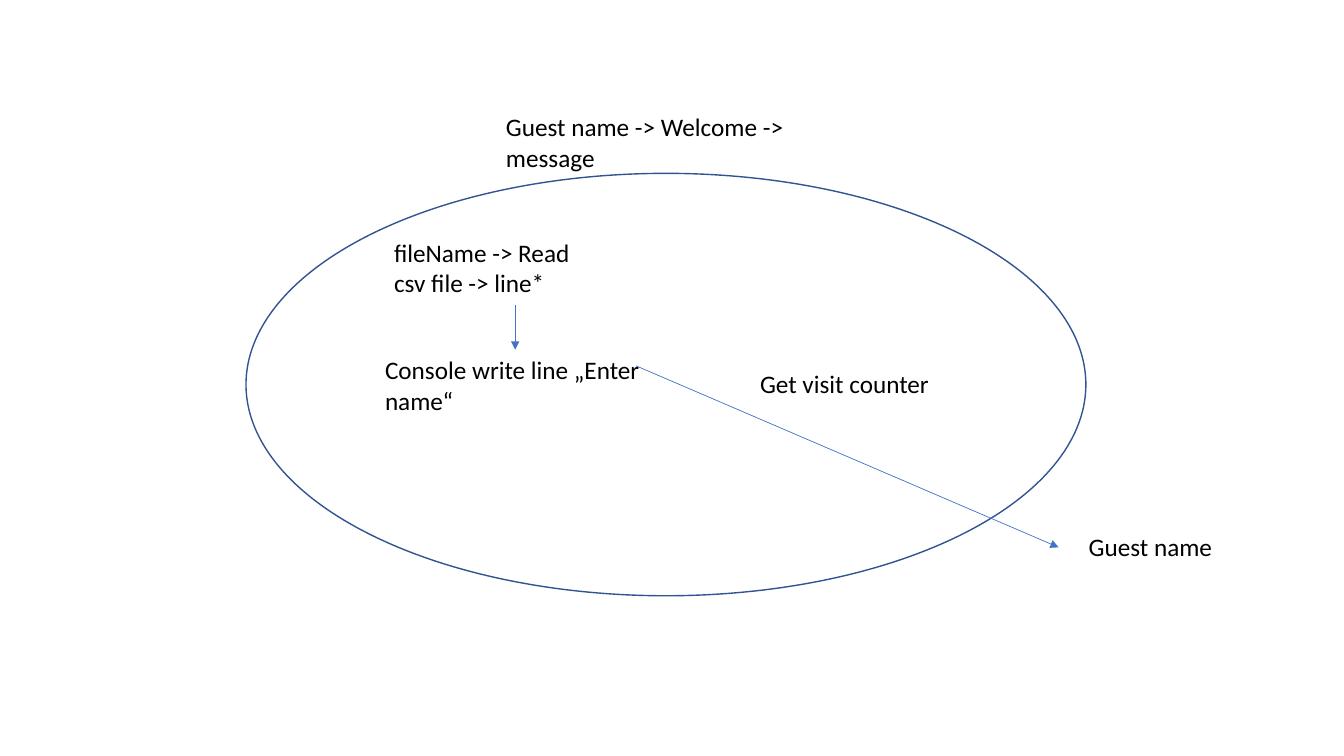
from dataclasses import dataclass

from lxml.etree import SubElement
from pptx import Presentation
from pptx.dml.color import RGBColor
from pptx.enum.shapes import MSO_CONNECTOR, MSO_SHAPE
from pptx.enum.text import MSO_AUTO_SIZE
from pptx.oxml.ns import qn
from pptx.shapes.autoshape import Shape
from pptx.shapes.connector import Connector
from pptx.slide import Slide
from pptx.util import Emu, Pt

PX = 9144  # EMU per px, 100 px to the inch
BLACK = RGBColor(0x00, 0x00, 0x00)
BLUE = RGBColor(0x44, 0x72, 0xC4)
DARK_BLUE = RGBColor(0x32, 0x54, 0x91)
FONT = "Calibri"
TOP = 0  # connection site


@dataclass(frozen=True)
class Label:
    text: str
    x: int
    y: int
    w: int
    h: int


@dataclass(frozen=True)
class Arrow:
    x1: int
    y1: int
    x2: int
    y2: int


FLOW_TITLE = Label("Guest name -> Welcome -> message", 492, 106, 349, 71)
READ_FILE = Label("fileName -> Read csv file -> line*", 381, 230, 223, 71)
ENTER_NAME = Label("Console write line „Enter name“", 372, 347, 278, 71)
VISIT_COUNTER = Label("Get visit counter", 744, 361, 193, 40)
GUEST_NAME = Label("Guest name", 1070, 522, 180, 40)

READ_TO_ENTER = Arrow(511, 303, 511, 347)
ENTER_TO_GUEST = Arrow(631, 363, 1050, 543)


def px(n: int) -> Emu:
    return Emu(n * PX)


def add_label(s: Slide, label: Label) -> Shape:
    sp = s.shapes.add_textbox(px(label.x), px(label.y), px(label.w), px(label.h))
    tf = sp.text_frame
    tf.word_wrap = True
    tf.auto_size = MSO_AUTO_SIZE.SHAPE_TO_FIT_TEXT
    p = tf.paragraphs[0]
    p.text = label.text
    p.font.name = FONT
    p.font.size = Pt(18)
    p.font.color.rgb = BLACK
    return sp


def add_boundary(s: Slide, x: int, y: int, w: int, h: int) -> Shape:
    sp = s.shapes.add_shape(MSO_SHAPE.OVAL, px(x), px(y), px(w), px(h))
    sp.shadow.inherit = False
    sp.fill.background()
    sp.line.color.rgb = DARK_BLUE
    sp.line.width = Pt(1)
    return sp


def add_arrow(s: Slide, arrow: Arrow) -> Connector:
    cxn = s.shapes.add_connector(
        MSO_CONNECTOR.STRAIGHT,
        px(arrow.x1), px(arrow.y1), px(arrow.x2), px(arrow.y2),
    )
    cxn.line.color.rgb = BLUE
    cxn.line.width = Pt(0.5)
    SubElement(cxn.line._get_or_add_ln(), qn("a:tailEnd"), type="triangle")
    SubElement(cxn._element.spPr, qn("a:effectLst"))
    return cxn


def main() -> None:
    prs = Presentation()
    prs.slide_width, prs.slide_height = px(1333), px(750)
    s = prs.slides.add_slide(prs.slide_layouts[6])

    # Overall flow and its boundary
    add_label(s, FLOW_TITLE)
    add_boundary(s, 244, 172, 833, 419)

    # Steps inside the boundary
    add_label(s, READ_FILE)
    enter_name = add_label(s, ENTER_NAME)
    add_arrow(s, READ_TO_ENTER).end_connect(enter_name, TOP)
    add_label(s, VISIT_COUNTER)

    # Output outside the boundary
    add_arrow(s, ENTER_TO_GUEST)
    add_label(s, GUEST_NAME)

    prs.save("out.pptx")


if __name__ == "__main__":
    main()
